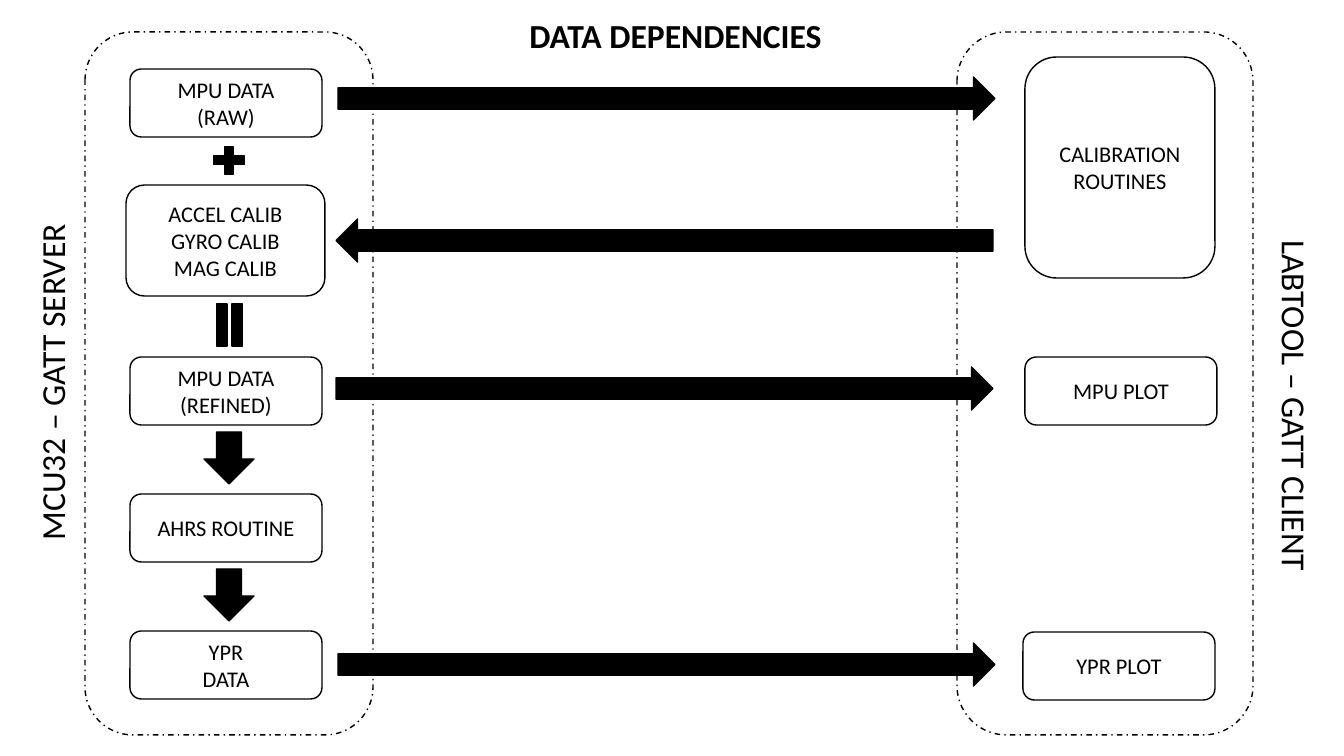
import pptx
import pptx.util
from pptx.dml.color import RGBColor
from pptx.enum.dml import MSO_LINE
from pptx.enum.shapes import MSO_SHAPE
from pptx.enum.text import MSO_ANCHOR, MSO_AUTO_SIZE, PP_ALIGN

BLACK = RGBColor(0, 0, 0)
WHITE = RGBColor(255, 255, 255)
FONT = "Calibri"
EMU_PER_PX = 914400 / 100.8

BOX_W, BOX_H = 192, 68
SERVER_X = 130
DATA_ARROW_W, DATA_ARROW_H = 657, 43


def px(length):
    return pptx.util.Emu(round(length * EMU_PER_PX))


def format_text(frame, size, align, bold=False):
    for paragraph in frame.paragraphs:
        paragraph.alignment = align
        for run in paragraph.runs:
            run.font.name = FONT
            run.font.size = pptx.util.Pt(size)
            run.font.bold = bold
            run.font.color.rgb = BLACK


def add_title(slide, text, x, y, w, h):
    title = slide.shapes.title
    title.left, title.top, title.width, title.height = map(px, (x, y, w, h))
    frame = title.text_frame
    frame.text = text
    frame.word_wrap = True
    frame.auto_size = MSO_AUTO_SIZE.SHAPE_TO_FIT_TEXT
    frame.vertical_anchor = MSO_ANCHOR.TOP
    format_text(frame, 24, PP_ALIGN.CENTER, bold=True)
    frame.paragraphs[0].line_spacing = 1.0
    frame.paragraphs[0].space_before = pptx.util.Pt(0)


def add_outlined(slide, preset, x, y, w, h, fill=None, rotation=0):
    shape = slide.shapes.add_shape(preset, px(x), px(y), px(w), px(h))
    shape.shadow.inherit = False
    shape.rotation = rotation
    shape.line.color.rgb = BLACK
    shape.line.width = pptx.util.Pt(1)
    if fill is None:
        shape.fill.background()
    else:
        shape.fill.solid()
        shape.fill.fore_color.rgb = fill
    return shape


def add_box(slide, text, x, y, w=BOX_W, h=BOX_H):
    box = add_outlined(slide, MSO_SHAPE.ROUNDED_RECTANGLE, x, y, w, h, WHITE)
    frame = box.text_frame
    frame.text = text
    frame.vertical_anchor = MSO_ANCHOR.MIDDLE
    format_text(frame, 16, PP_ALIGN.CENTER)


def add_side_frame(slide, x, y, w, h):
    side = add_outlined(slide, MSO_SHAPE.ROUNDED_RECTANGLE, x, y, w, h)
    side.line.dash_style = MSO_LINE.DASH_DOT


def add_side_label(slide, text, x, y, w, h, rotation):
    label = slide.shapes.add_textbox(px(x), px(y), px(w), px(h))
    label.rotation = rotation
    frame = label.text_frame
    frame.text = text
    frame.word_wrap = False
    frame.auto_size = MSO_AUTO_SIZE.SHAPE_TO_FIT_TEXT
    format_text(frame, 24, PP_ALIGN.LEFT)


def main():
    deck = pptx.Presentation()
    deck.slide_width, deck.slide_height = px(1344), px(756)
    slide = deck.slides.add_slide(deck.slide_layouts[5])

    add_title(slide, "DATA DEPENDENCIES", 469, 10, 413, 50)

    # Data passed between server and client
    for x, y, rotation in ((338, 77, 0), (336, 219, 180), (336, 367, 0), (338, 643, 0)):
        add_outlined(slide, MSO_SHAPE.RIGHT_ARROW, x, y,
                     DATA_ARROW_W, DATA_ARROW_H, BLACK, rotation)

    # Server processing chain
    add_box(slide, "MPU DATA\n(RAW)", SERVER_X, 69)
    add_outlined(slide, MSO_SHAPE.MATH_PLUS, 208, 142, 42, 37, BLACK)
    add_box(slide, "ACCEL CALIB\nGYRO CALIB\nMAG CALIB", 126, 185, 199, 111)
    add_outlined(slide, MSO_SHAPE.MATH_EQUAL, 201, 303, 57, 44, BLACK, 270)
    stages = ("MPU DATA\n(REFINED)", "AHRS ROUTINE", "YPR\nDATA")
    for index, stage in enumerate(stages):
        stage_y = 357 + 137 * index
        add_box(slide, stage, SERVER_X, stage_y)
        if index < len(stages) - 1:
            add_outlined(slide, MSO_SHAPE.RIGHT_ARROW, 203, stage_y + 76,
                         52, 50, BLACK, 90)

    # Client routines and plots
    add_box(slide, "CALIBRATION\nROUTINES", 1025, 57, 190, 221)
    add_box(slide, "MPU PLOT", 1025, 357)
    add_box(slide, "YPR PLOT", 1023, 632)

    # Frames and names of the two sides
    add_side_frame(slide, 85, 32, 288, 703)
    add_side_frame(slide, 957, 32, 296, 703)
    add_side_label(slide, "MCU32 – GATT SERVER", -123, 351, 349, 50, 270)
    add_side_label(slide, "LABTOOL – GATT CLIENT", 1118, 383, 355, 50, 90)

    deck.save("out.pptx")


main()
